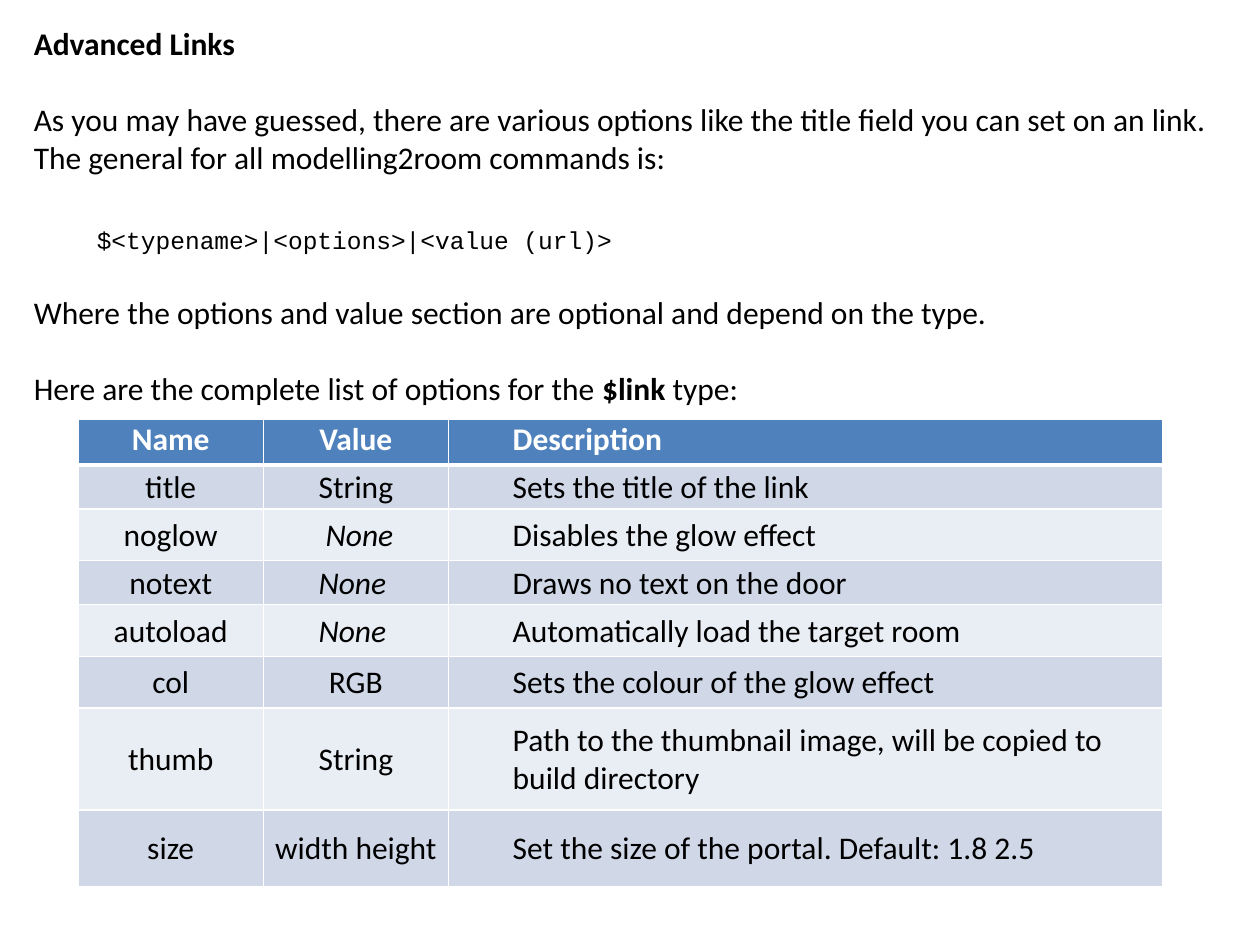
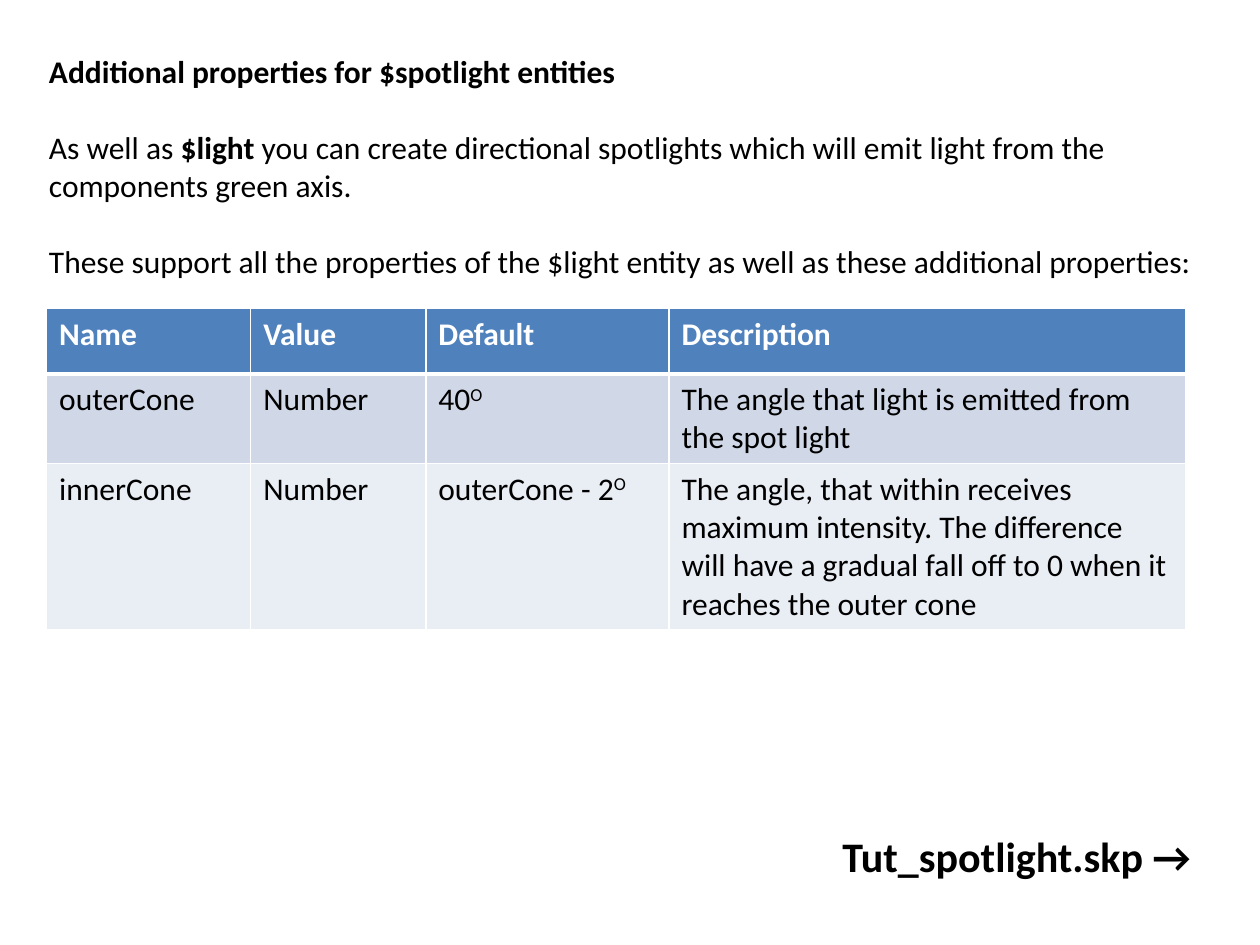
from lxml import etree
from pptx import Presentation
from pptx import util as u
from pptx.dml.color import RGBColor
from pptx.enum import text
from pptx.oxml import ns

COLOURS = {
    "ink": "000000",
    "paper": "FFFFFF",
    "header": "4F81BD",
    "band_dark": "D0D8E8",
    "band_light": "E9EDF4",
}
BODY = {"name": "Calibri", "size": u.Pt(18), "bold": False}
BOLD = {"bold": True}
ITALIC = {"italic": True}
CODE = {"name": "Courier New", "size": u.Pt(14)}
POINTER = {"size": u.Pt(24), "bold": True}
RAISED = {"baseline": "30000"}

GAP = u.Pt(22)
CODE_GAP = u.Pt(28)
INDENT = u.Inches(0.5)
LEFT, CENTRE, RIGHT = (text.PP_ALIGN.LEFT, text.PP_ALIGN.CENTER, text.PP_ALIGN.RIGHT)
TOP, MIDDLE = text.MSO_ANCHOR.TOP, text.MSO_ANCHOR.MIDDLE


def colour(name):
    return RGBColor.from_string(COLOURS[name])


def inches(values):
    return [u.Inches(value) for value in values]


def set_values(target, values):
    for name, value in values.items():
        setattr(target, name, value)


def fill_paragraph(paragraph, runs, ink="ink", base=None, align=LEFT, indent=0):
    """Runs are one string, or a list of (string, format) pairs."""
    paragraph.alignment = align
    if indent:
        paragraph._p.get_or_add_pPr().set("marL", str(indent))
    if isinstance(runs, str):
        runs = [(runs, {})]
    for words, changes in runs:
        run = paragraph.add_run()
        run.text = words
        values = {**BODY, **(base or {}), **changes}
        baseline = values.pop("baseline", None)
        set_values(run.font, values)
        run.font.color.rgb = colour(ink)
        if baseline:
            run._r.get_or_add_rPr().set("baseline", baseline)


def add_text(slide, box, paragraphs, **style):
    """Paragraphs are (runs, space before, indent)."""
    frame = slide.shapes.add_textbox(*inches(box)).text_frame
    set_values(frame, {"word_wrap": True, "auto_size": text.MSO_AUTO_SIZE.NONE})
    for index, (runs, space, indent) in enumerate(paragraphs):
        paragraph = frame.add_paragraph() if index else frame.paragraphs[0]
        paragraph.space_before = space
        fill_paragraph(paragraph, runs, indent=indent, **style)


def add_borders(cell, widths):
    properties = cell._tc.get_or_add_tcPr()
    for side, points in widths.items():
        line = etree.SubElement(properties, ns.qn(f"a:ln{side}"), w=str(u.Pt(points)))
        fill = etree.SubElement(line, ns.qn("a:solidFill"))
        etree.SubElement(fill, ns.qn("a:srgbClr"), val=COLOURS["paper"])


def add_banded_table(slide, box, columns, heights, rows, aligns=None, indents=None,
                     margins=None, body_anchor=TOP):
    """First row is the header; the rows below alternate two bands."""
    table = slide.shapes.add_table(len(rows), len(columns), *inches(box)).table
    for column, width in zip(table.columns, columns):
        column.width = u.Inches(width)
    for row, height in zip(table.rows, heights):
        row.height = u.Inches(height)
    aligns = aligns or [LEFT] * len(columns)
    indents = indents or [0] * len(columns)

    for r, row in enumerate(rows):
        header = r == 0
        band = "header" if header else ("band_light", "band_dark")[r % 2]
        for c, runs in enumerate(row):
            cell = table.cell(r, c)
            add_borders(cell, {"L": 1, "R": 1, "T": 3 if r == 1 else 1, "B": 3 if header else 1})
            cell.fill.solid()
            cell.fill.fore_color.rgb = colour(band)
            cell.vertical_anchor = TOP if header else body_anchor
            set_values(cell, margins or {})
            fill_paragraph(cell.text_frame.paragraphs[0], runs,
                           ink="paper" if header else "ink",
                           base=BOLD if header else None,
                           align=aligns[c], indent=indents[c])


def build_links_slide(slide):
    # Explanation
    add_text(slide, (0.17, 0.14, 9.66, 3.2), [
        ([("Advanced Links", BOLD)], 0, 0),
        ("As you may have guessed, there are various options like the title field you can "
         "set on an link. The general for all modelling2room commands is:", GAP, 0),
        ([("$<typename>|<options>|<value (url)>", CODE)], CODE_GAP, INDENT),
        ("Where the options and value section are optional and depend on the type.", GAP, 0),
        ([("Here are the complete list of options for the ", {}), ("$link", BOLD),
          (" type:", {})], GAP, 0),
    ])

    # Link options
    edge = u.Inches(0.01)
    add_banded_table(
        slide, (0.62, 3.33, 8.6, 3.71), (1.47, 1.47, 5.67),
        (0.36, 0.35, 0.41, 0.35, 0.41, 0.41, 0.81, 0.61),
        [
            ("Name", "Value", "Description"),
            ("title", "String", "Sets the title of the link"),
            ("noglow", [(" None", ITALIC)], "Disables the glow effect"),
            ("notext", [("None ", ITALIC)], "Draws no text on the door"),
            ("autoload", [("None ", ITALIC)], "Automatically load the target room"),
            ("col", "RGB", "Sets the colour of the glow effect"),
            ("thumb", "String",
             "Path to the thumbnail image, will be copied to build directory"),
            ("size", "width height", "Set the size of the portal. Default: 1.8 2.5"),
        ],
        aligns=(CENTRE, CENTRE, LEFT), indents=(0, 0, INDENT), body_anchor=MIDDLE,
        margins={"margin_left": edge, "margin_right": edge, "margin_top": edge,
                 "margin_bottom": 0})


def build_spotlight_slide(slide):
    # Explanation
    add_text(slide, (0.29, 0.36, 9.42, 1.92), [
        ([("Additional properties for $spotlight entities", BOLD)], 0, 0),
        ([("As well as ", {}), ("$light ", BOLD),
          ("you can create directional spotlights which will emit light from the "
           "components green axis.", {})], GAP, 0),
        ("These support all the properties of the $light entity as well as these "
         "additional properties:", GAP, 0),
    ])

    # Cone properties
    add_banded_table(
        slide, (0.37, 2.45, 9.04, 2.52), (1.62, 1.39, 1.93, 4.1), (0.52, 0.71, 1.29),
        [
            ("Name", "Value", "Default", "Description"),
            ("outerCone", "Number", [("40", {}), ("O", RAISED)],
             "The angle that light is emitted from the spot light"),
            ("innerCone", "Number", [("outerCone - 2", {}), ("O", RAISED)],
             "The angle, that within receives maximum intensity. The difference will "
             "have a gradual fall off to 0 when it reaches the outer cone"),
        ])

    # Pointer to the tutorial file
    add_text(slide, (6.02, 6.54, 3.53, 0.5), [("Tut_spotlight.skp →", 0, 0)],
             base=POINTER, align=RIGHT)


def main():
    presentation = Presentation()
    set_values(presentation, {"slide_width": u.Inches(10), "slide_height": u.Inches(7.5)})
    for build in (build_links_slide, build_spotlight_slide):
        build(presentation.slides.add_slide(presentation.slide_layouts[6]))
    presentation.save("out.pptx")


if __name__ == "__main__":
    main()
